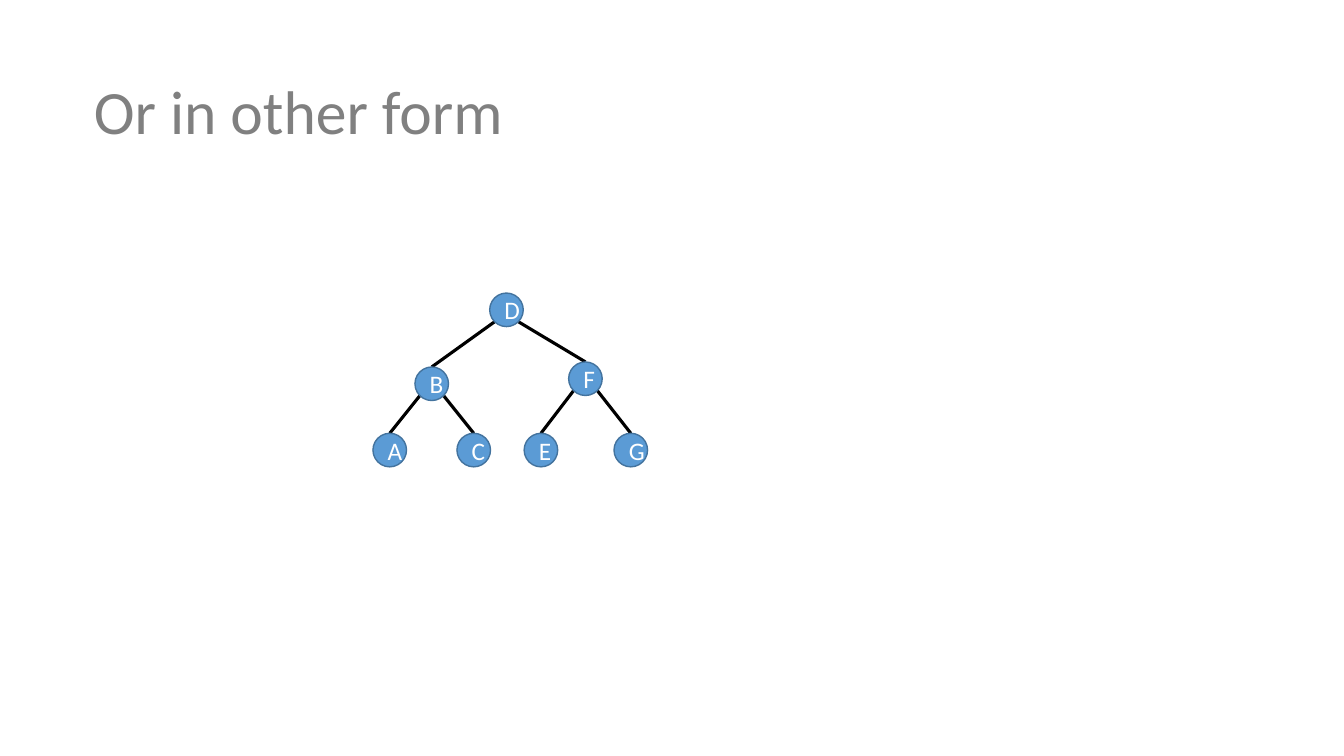
from dataclasses import dataclass
from math import sqrt

from lxml import etree
from pptx import Presentation
from pptx.dml.color import RGBColor
from pptx.enum.shapes import MSO_CONNECTOR, MSO_SHAPE
from pptx.enum.text import MSO_ANCHOR, PP_ALIGN
from pptx.oxml.ns import qn
from pptx.slide import Slide
from pptx.text.text import TextFrame
from pptx.util import Inches, Pt

STRAIGHT = MSO_CONNECTOR.STRAIGHT
OVAL = MSO_SHAPE.OVAL
MIDDLE = MSO_ANCHOR.MIDDLE
LEFT, CENTER = PP_ALIGN.LEFT, PP_ALIGN.CENTER

SLIDE_W, SLIDE_H = Inches(13.33), Inches(7.5)
COLUMNS = 160
CELL = SLIDE_W / COLUMNS
DIAMETER = 4
RADIUS = DIAMETER / 2
DIAGONAL = RADIUS / sqrt(2)


@dataclass(frozen=True)
class Theme:
    font: str = "Calibri"
    title_size: float = 44
    node_size: float = 18
    title: RGBColor = RGBColor(0x80, 0x80, 0x80)
    node_text: RGBColor = RGBColor(0xFF, 0xFF, 0xFF)
    node_fill: RGBColor = RGBColor(0x5B, 0x9B, 0xD5)
    node_line: RGBColor = RGBColor(0x43, 0x73, 0x9E)
    edge: RGBColor = RGBColor(0, 0, 0)
    node_line_width: float = 1
    edge_width: float = 2.25


@dataclass(frozen=True)
class Node:
    label: str
    col: float
    row: float
    parent: str = ""


THEME = Theme()
LEAF_ROW = 53.6
TREE = [
    Node("D", 60.3, 36.9),
    Node("B", 51.4, 45.7, "D"),
    Node("F", 69.7, 45.1, "D"),
    Node("A", 46.4, LEAF_ROW, "B"),
    Node("C", 56.4, LEAF_ROW, "B"),
    Node("E", 64.4, LEAF_ROW, "F"),
    Node("G", 75.1, LEAF_ROW, "F"),
]


def grid(cells: float) -> int:
    return round(cells * CELL)


def set_text(tf: TextFrame, text: str, size: float, color: RGBColor, align: PP_ALIGN) -> None:
    tf.text = text
    tf.word_wrap = True
    tf.vertical_anchor = MIDDLE
    p = tf.paragraphs[0]
    p.alignment = align
    r = p.runs[0]
    r.font.name = THEME.font
    r.font.size = Pt(size)
    r.font.color.rgb = color


def add_title(s: Slide, text: str) -> None:
    sp = s.shapes.add_textbox(grid(10), grid(4.9), grid(138), grid(17.4))
    set_text(sp.text_frame, text, THEME.title_size, THEME.title, LEFT)
    sp.text_frame.paragraphs[0].line_spacing = 0.9


def add_edge(s: Slide, parent: Node, child: Node) -> None:
    side = DIAGONAL if child.col > parent.col else -DIAGONAL
    line = s.shapes.add_connector(
        STRAIGHT,
        grid(parent.col + side),
        grid(parent.row + DIAGONAL),
        grid(child.col),
        grid(child.row - RADIUS),
    )
    line.line.color.rgb = THEME.edge
    line.line.width = Pt(THEME.edge_width)
    etree.SubElement(line._element.spPr, qn("a:effectLst"))


def add_node(s: Slide, node: Node) -> None:
    sp = s.shapes.add_shape(
        OVAL,
        grid(node.col - RADIUS),
        grid(node.row - RADIUS),
        grid(DIAMETER),
        grid(DIAMETER),
    )
    sp.shadow.inherit = False
    sp.fill.solid()
    sp.fill.fore_color.rgb = THEME.node_fill
    sp.line.color.rgb = THEME.node_line
    sp.line.width = Pt(THEME.node_line_width)
    set_text(sp.text_frame, node.label, THEME.node_size, THEME.node_text, CENTER)


def main() -> None:
    prs = Presentation()
    prs.slide_width, prs.slide_height = SLIDE_W, SLIDE_H
    s = prs.slides.add_slide(prs.slide_layouts[6])
    add_title(s, "Or in other form")
    nodes = {node.label: node for node in TREE}
    for node in TREE:
        if node.parent:
            add_edge(s, nodes[node.parent], node)
    for node in TREE:
        add_node(s, node)
    prs.save("out.pptx")


if __name__ == "__main__":
    main()
